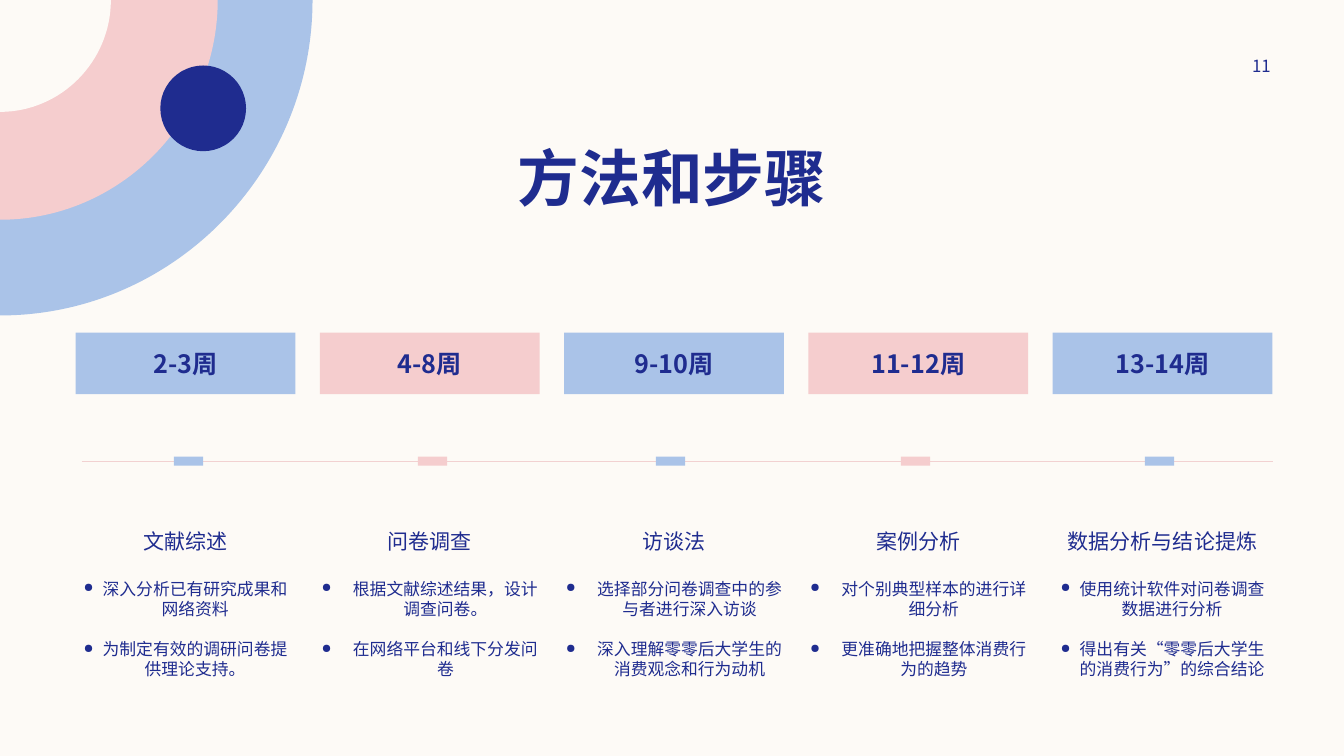
import lxml.etree
import pptx
import pptx.dml.color
import pptx.enum.shapes
import pptx.enum.text
import pptx.oxml.ns
import pptx.util
from pptx.util import Inches

NAVY, BLUE, PINK, CREAM, RULE = "1F2C8F", "AAC3E8", "F5CDCE", "FDFAF6", "F2D1D1"
FONT = "Noto Sans CJK SC"
ALIGN = pptx.enum.text.PP_ALIGN
ANCHOR = pptx.enum.text.MSO_ANCHOR
SHAPE = pptx.enum.shapes.MSO_SHAPE

# weeks, tick centre, method, bullet indent, steps
PHASES = [
    ("2-3周", 1.87, "文献综述", 0.19,
     ["深入分析已有研究成果和网络资料", "为制定有效的调研问卷提供理论支持。"]),
    ("4-8周", 4.29, "问卷调查", 0.31,
     ["根据文献综述结果，设计调查问卷。", "在网络平台和线下分发问卷"]),
    ("9-10周", 6.65, "访谈法", 0.31,
     ["选择部分问卷调查中的参与者进行深入访谈", "深入理解零零后大学生的消费观念和行为动机"]),
    ("11-12周", 9.08, "案例分析", 0.31,
     ["对个别典型样本的进行详细分析", "更准确地把握整体消费行为的趋势"]),
    ("13-14周", 11.5, "数据分析与结论提炼", 0.19,
     ["使用统计软件对问卷调查数据进行分析", "得出有关“零零后大学生的消费行为”的综合结论"]),
]
COLUMN_LEFT, LAST_COLUMN_LEFT, COLUMN_WIDTH = 0.75, 10.44, 2.18
COLUMN_STEP = (LAST_COLUMN_LEFT - COLUMN_LEFT) / (len(PHASES) - 1)
ARC_HANDLE = 0.55  # Bezier handle length for a quarter ellipse, as a share of its radius


def color(hex_string):
    return pptx.dml.color.RGBColor.from_string(hex_string)


def add_xml(parent, tag, **attributes):
    return lxml.etree.SubElement(parent, pptx.oxml.ns.qn(tag), attributes)


class SlideBuilder:
    """Holds the current slide and draws in its style."""

    def __init__(self, slide):
        self.slide = slide
        slide.background.fill.solid()
        slide.background.fill.fore_color.rgb = color(CREAM)

    def paint(self, shape, fill):
        shape.shadow.inherit = False
        shape.fill.solid()
        shape.fill.fore_color.rgb = color(fill)
        shape.line.fill.background()

    def format_paragraph(self, paragraph, size, bold=False):
        paragraph.alignment = ALIGN.CENTER
        for run in paragraph.runs:
            run.font.name = FONT
            run.font.size = pptx.util.Pt(size)
            run.font.bold = bold
            run.font.color.rgb = color(NAVY)
            add_xml(run.font._element, "a:ea", typeface=FONT)

    def shape(self, kind, left, top, width, height, fill):
        shape = self.slide.shapes.add_shape(
            kind, Inches(left), Inches(top), Inches(width), Inches(height))
        self.paint(shape, fill)
        return shape

    def quarter_disc(self, width, height, fill):
        """Fill a quarter ellipse centred on the slide's top left corner."""
        width, height = Inches(width), Inches(height)
        builder = self.slide.shapes.build_freeform(0, 0)
        builder.add_line_segments([(width, 0), (0, height)], close=True)
        shape = builder.convert_to_shape()
        self.paint(shape, fill)
        # Bend the slanted side into an arc.
        side = list(shape._element.iter(pptx.oxml.ns.qn("a:lnTo")))[1]
        curve = lxml.etree.Element(pptx.oxml.ns.qn("a:cubicBezTo"))
        for x, y in ((width, height * ARC_HANDLE), (width * ARC_HANDLE, height), (0, height)):
            add_xml(curve, "a:pt", x=str(round(x)), y=str(round(y)))
        side.getparent().replace(side, curve)

    def line(self, left, right, y):
        connector = self.slide.shapes.add_connector(
            pptx.enum.shapes.MSO_CONNECTOR.STRAIGHT,
            Inches(left), Inches(y), Inches(right), Inches(y))
        connector.line.color.rgb = color(RULE)
        connector.line.width = pptx.util.Pt(1)
        add_xml(connector._element.spPr, "a:effectLst")

    def title(self, text, left, top, width, height):
        title = self.slide.shapes.title
        title.left, title.top = Inches(left), Inches(top)
        title.width, title.height = Inches(width), Inches(height)
        title.text_frame.text = text
        title.text_frame.vertical_anchor = ANCHOR.MIDDLE
        self.format_paragraph(title.text_frame.paragraphs[0], 44, bold=True)

    def text_box(self, text, left, top, width, height, size):
        box = self.slide.shapes.add_textbox(
            Inches(left), Inches(top), Inches(width), Inches(height))
        box.text_frame.word_wrap = True
        box.text_frame.text = text
        self.format_paragraph(box.text_frame.paragraphs[0], size)
        return box.text_frame

    def label(self, text, left, top, width, height, fill):
        frame = self.shape(SHAPE.RECTANGLE, left, top, width, height, fill).text_frame
        frame.margin_left = frame.margin_right = frame.margin_top = frame.margin_bottom = 0
        frame.vertical_anchor = ANCHOR.MIDDLE
        frame.text = text
        self.format_paragraph(frame.paragraphs[0], 18, bold=True)

    def method(self, heading, steps, indent, left, top, width, height):
        """Write a heading with its bulleted steps below."""
        frame = self.text_box(heading, left, top, width, height, 15)
        frame.margin_left = frame.margin_right = 0
        frame.paragraphs[0].line_spacing = pptx.util.Pt(18)
        for step, gap in zip(steps, (18, 14.4)):
            paragraph = frame.add_paragraph()
            paragraph.text = step
            self.format_paragraph(paragraph, 12)
            paragraph.line_spacing = pptx.util.Pt(14.4)
            paragraph.space_before = pptx.util.Pt(gap)
            properties = paragraph._p.get_or_add_pPr()
            properties.set("marL", str(Inches(indent)))
            properties.set("indent", str(-Inches(indent)))
            add_xml(properties, "a:buSzPct", val="75000")
            add_xml(properties, "a:buChar", char="●")


def main():
    presentation = pptx.Presentation()
    presentation.slide_width, presentation.slide_height = Inches(13.33), Inches(7.5)
    builder = SlideBuilder(presentation.slides.add_slide(presentation.slide_layouts[5]))

    builder.quarter_disc(3.1, 3.13, BLUE)
    builder.quarter_disc(2.16, 2.18, PINK)
    builder.quarter_disc(1.1, 1.11, CREAM)
    builder.shape(SHAPE.OVAL, 1.59, 0.65, 0.85, 0.85, NAVY)
    builder.line(0.81, 12.63, 4.58)

    builder.title("方法和步骤", 0.83, 1.33, 11.67, 0.84)
    page_number = builder.text_box("11", 11.97, 0.5, 1.08, 0.3, 12)
    page_number.vertical_anchor = ANCHOR.MIDDLE

    for index, (weeks, tick, heading, indent, steps) in enumerate(PHASES):
        left = COLUMN_LEFT + COLUMN_STEP * index
        fill = (BLUE, PINK)[index % 2]
        builder.label(weeks, left, 3.3, COLUMN_WIDTH, 0.61, fill)
        builder.shape(SHAPE.RECTANGLE, tick - 0.145, 4.53, 0.29, 0.09, fill)
        builder.method(heading, steps, indent, left, 5.19, COLUMN_WIDTH, 2.06)

    presentation.save("out.pptx")


if __name__ == "__main__":
    main()
